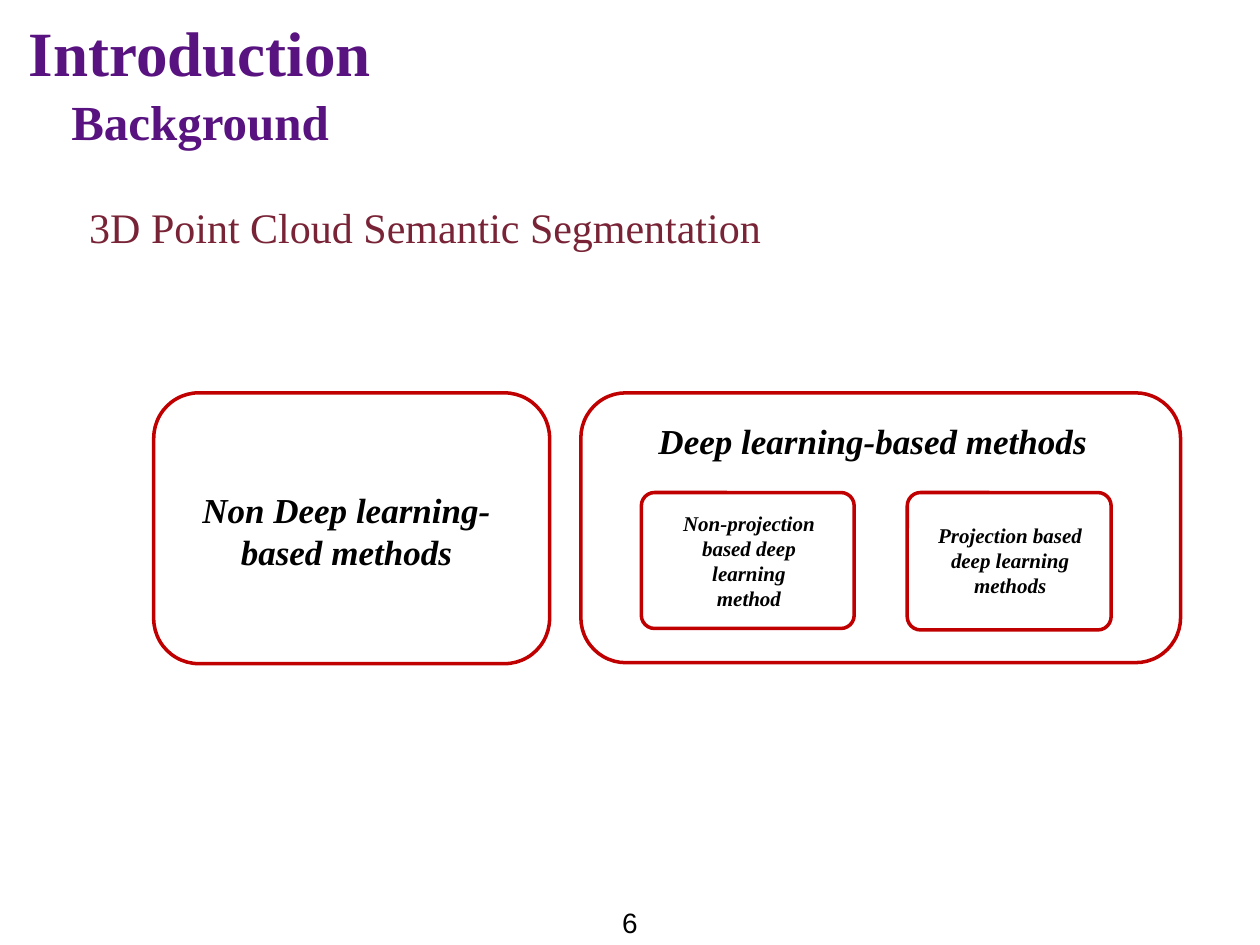
from pptx import Presentation
from pptx.dml.color import RGBColor
from pptx.enum.shapes import MSO_SHAPE as Shape
from pptx.enum.text import MSO_ANCHOR as Anchor, MSO_AUTO_SIZE as AutoSize, PP_ALIGN as Align
from pptx.util import Cm, Pt

COLORS = {"heading": "591380", "topic": "782336", "text": "000000", "frame": "C00000"}
SERIF, SANS = "Times New Roman", "Arial"

# Content: places are left, top, width, height in cm
TITLE = ("Introduction", (0.33, 0.15, 22.2, 1.47))
SUBTITLE = ("Background", (1.19, 1.73, 22.2, 1.47))
TOPIC = ("3D Point Cloud Semantic Segmentation", (1.55, 3.94, 23.19, 1.27))
PAGE_NUMBER = ("6", (11.1, 18.14, 3.2, 0.91))

# Each method: label, size, label place, frame place, corner ratio
METHODS = [
    ("Deep learning-based methods", 20,
     (10.9, 8.33, 13.39, 1.42), (11.71, 7.92, 12.09, 5.44), 0.167),
    ("Non Deep learning-based methods", 20,
     (3.3, 9.73, 7.37, 1.37), (3.1, 7.92, 7.98, 5.46), 0.167),
    ("Projection based deep learning methods", 12,
     (18.31, 10.41, 4.11, 1.12), (18.29, 9.93, 4.11, 2.77), 0.097),
    ("Non-projection based deep learning method", 12,
     (13.51, 10.16, 3.18, 2.29), (12.93, 9.93, 4.29, 2.74), 0.097),
]

prs = Presentation()
prs.slide_width, prs.slide_height = Cm(25.4), Cm(19.05)
slide = prs.slides.add_slide(prs.slide_layouts[5])


def write(box, text, size, color, align=Align.LEFT, bold=False, italic=False, face=SERIF):
    frame = box.text_frame
    frame.word_wrap = True
    frame.auto_size = AutoSize.NONE
    frame.vertical_anchor = Anchor.TOP
    paragraph = frame.paragraphs[0]
    paragraph.text = text
    paragraph.alignment = align
    font = paragraph.font
    font.name, font.size, font.bold, font.italic = face, Pt(size), bold, italic
    font.color.rgb = RGBColor.from_string(COLORS[color])


def add_text(text, place, *style, **options):
    write(slide.shapes.add_textbox(*map(Cm, place)), text, *style, **options)


def add_frame(place, corner):
    frame = slide.shapes.add_shape(Shape.ROUNDED_RECTANGLE, *map(Cm, place))
    frame.adjustments[0] = corner
    frame.shadow.inherit = False
    frame.fill.background()
    frame.line.color.rgb = RGBColor.from_string(COLORS["frame"])
    frame.line.width = Pt(2)


# Headings
title = slide.shapes.title
title_text, title_place = TITLE
title.left, title.top, title.width, title.height = map(Cm, title_place)
write(title, title_text, 36, "heading", bold=True)
add_text(*SUBTITLE, 28, "heading", bold=True)
add_text(*TOPIC, 24, "topic", align=Align.JUSTIFY)

# Families of methods
for label, size, label_place, frame_place, corner in METHODS:
    add_text(label, label_place, size, "text", align=Align.CENTER, bold=True, italic=True)
    add_frame(frame_place, corner)

# Page number
add_text(*PAGE_NUMBER, 16, "text", align=Align.CENTER, face=SANS)

prs.save("out.pptx")
